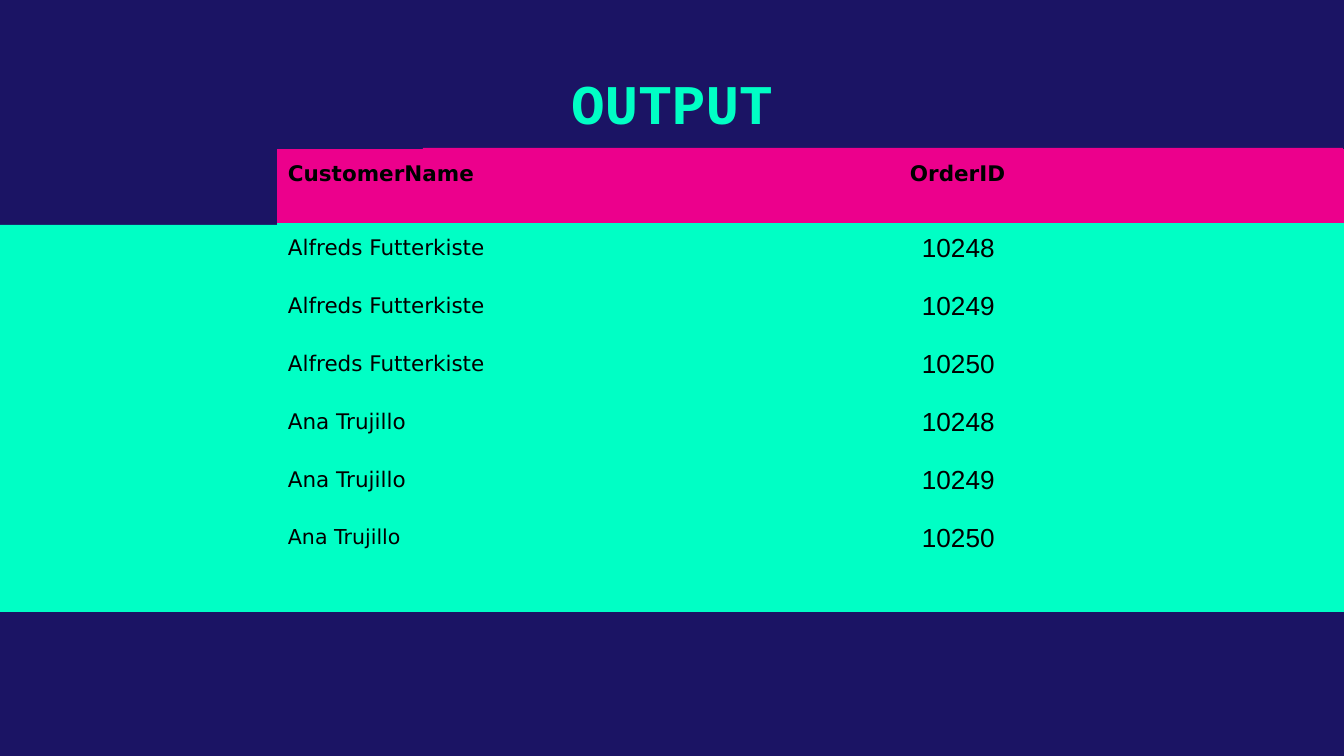
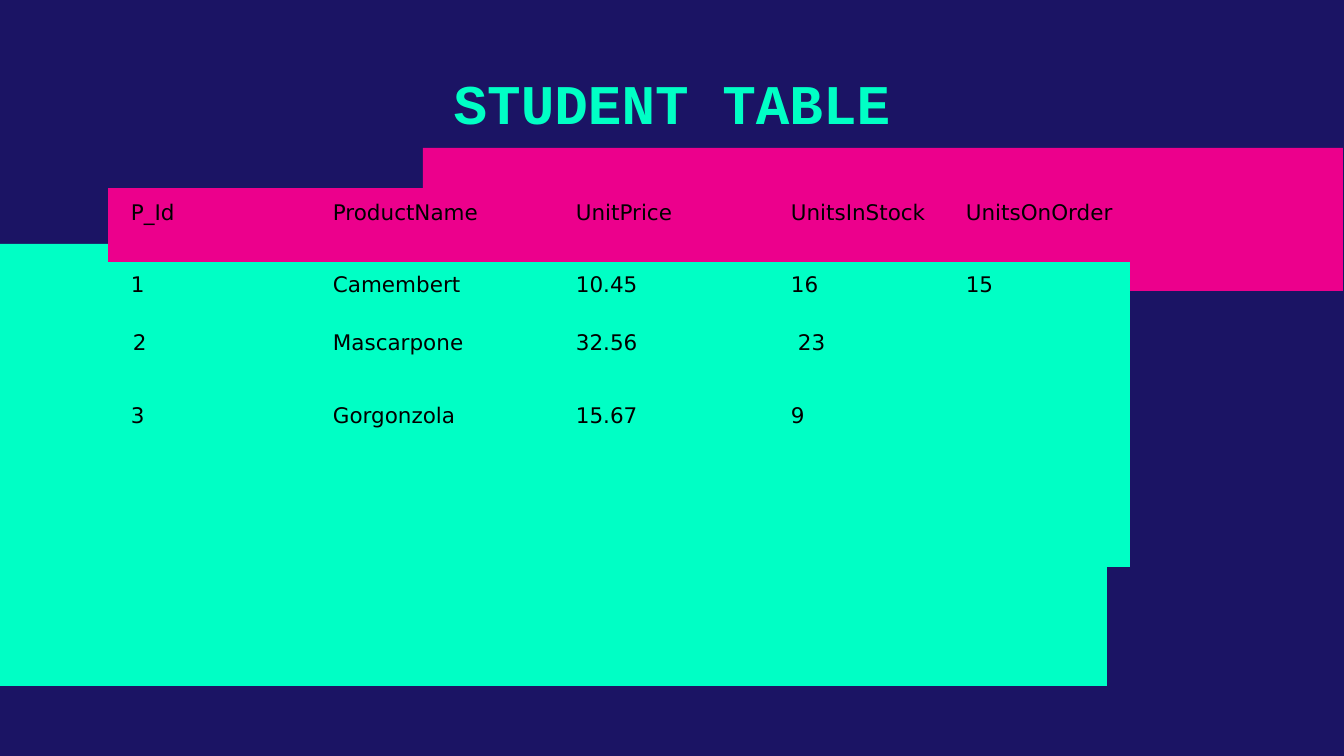
from pptx import Presentation
from pptx.dml.color import RGBColor
from pptx.enum.shapes import MSO_SHAPE as Shape
from pptx.enum.text import MSO_ANCHOR as Anchor, PP_ALIGN as Align
from pptx.util import Emu, Pt

NAVY = RGBColor(0x1B, 0x14, 0x64)
MINT = RGBColor(0x00, 0xFF, 0xC5)
PINK = RGBColor(0xEC, 0x00, 0x8C)
BLACK = RGBColor(0, 0, 0)
PLAIN_TABLE = "{2D5ABB26-0587-4C30-8999-92F81FD0307C}"
SCALE = 9144000 / 1344
PINK_BAND = (423, 148, 920, 143)
TITLE_BOX = (188, 51, 968, 98)
TITLE_FONT = {"name": "Courier New", "size": Pt(30), "bold": True}
CELL_FONT = {"name": "DejaVu Sans", "size": Pt(11.5), "bold": False}
NUMBER_FONT = {"name": "Arial", "size": Pt(14)}
INSET, WIDE_INSET = 11, 23

orders = [
    (name, number)
    for name in ("Alfreds Futterkiste", "Ana Trujillo")
    for number in ("10248", "10249", "10250")
]

pages = [
    {
        "title": "OUTPUT",
        "mint_band": (0, 225, 1344, 387),
        "corner": (55, 149),
        "columns": [222, 622, 445],
        "rows": [74] + [58] * 5 + [82],
        "cells": [("CustomerName", "OrderID"), *orders],
        "header_bold": True,
        "spaced_rows": range(7),
        "fonts": {(row, 2): NUMBER_FONT for row in range(1, 7)} | {(6, 1): {"size": Pt(11)}},
        "insets": {(row, 2): WIDE_INSET for row in range(1, 7)},
    },
    {
        "title": "STUDENT TABLE",
        "mint_band": (-3, 244, 1110, 442),
        "corner": (35, 188),
        "columns": [73, 214, 243, 215, 175, 175],
        "rows": [74, 58, 73, 58, 58, 58],
        "cells": [
            ("P_Id", "ProductName", "UnitPrice", "UnitsInStock", "UnitsOnOrder"),
            ("1", "Camembert", "10.45", "16", "15"),
            ("2", "Mascarpone", "32.56", "23", ""),
            ("3", "Gorgonzola", "15.67", "9", ""),
            ("",) * 5,
            ("",) * 5,
        ],
        "header_bold": False,
        "spaced_rows": range(1),
        "fonts": {},
        "insets": {(row, 1): WIDE_INSET for row in (0, 1, 3)} | {(2, 1): 25, (2, 4): 18},
    },
]


def px(length):
    return Emu(round(length * SCALE))


def apply(target, values):
    for key, value in values.items():
        setattr(target, key, value)


deck = Presentation()
deck.slide_width, deck.slide_height = px(1344), px(756)
background = deck.slide_master.background.fill
background.solid()
background.fore_color.rgb = NAVY

for page in pages:
    slide = deck.slides.add_slide(deck.slide_layouts[5])

    for place, color in ((page["mint_band"], MINT), (PINK_BAND, PINK)):
        band = slide.shapes.add_shape(Shape.RECTANGLE, *map(px, place))
        band.shadow.inherit = False
        band.fill.solid()
        band.fill.fore_color.rgb = color
        band.line.fill.background()

    title = slide.shapes.title
    apply(title, dict(zip(("left", "top", "width", "height"), map(px, TITLE_BOX))))
    frame = title.text_frame
    frame.text = page["title"]
    apply(frame, {"vertical_anchor": Anchor.BOTTOM, "word_wrap": True})
    apply(frame, {f"margin_{side}": px(13) for side in ("left", "top", "right", "bottom")})
    para = frame.paragraphs[0]
    para.alignment = Align.CENTER
    span = para.runs[0]
    apply(span.font, TITLE_FONT)
    span.font.color.rgb = MINT

    columns, rows = page["columns"], page["rows"]
    box = slide.shapes.add_table(
        len(rows), len(columns), *map(px, page["corner"]), px(sum(columns)), px(sum(rows))
    )
    table = box.table
    apply(table, {"first_row": False, "horz_banding": False})
    box._element.graphic.graphicData.tbl.tblPr.find("{*}tableStyleId").text = PLAIN_TABLE
    for column, width in zip(table.columns, columns):
        column.width = px(width)
    for line, height in zip(table.rows, rows):
        line.height = px(height)

    for row, texts in enumerate(page["cells"]):
        table.cell(row, 0).fill.background()
        for col, text in enumerate(texts, start=1):
            cell = table.cell(row, col)
            cell.fill.solid()
            cell.fill.fore_color.rgb = MINT if row else PINK
            if not text:
                continue
            apply(cell, {f"margin_{side}": px(INSET) for side in ("top", "right", "bottom")})
            cell.margin_left = px(page["insets"].get((row, col), INSET))
            cell.text = text
            para = cell.text_frame.paragraphs[0]
            own_font = page["fonts"].get((row, col), {})
            if row in page["spaced_rows"] and own_font is not NUMBER_FONT:
                para.line_spacing = 1.07
            span = para.runs[0]
            apply(span.font, CELL_FONT | own_font)
            span.font.bold = row == 0 and page["header_bold"]
            span.font.color.rgb = BLACK

deck.save("out.pptx")
